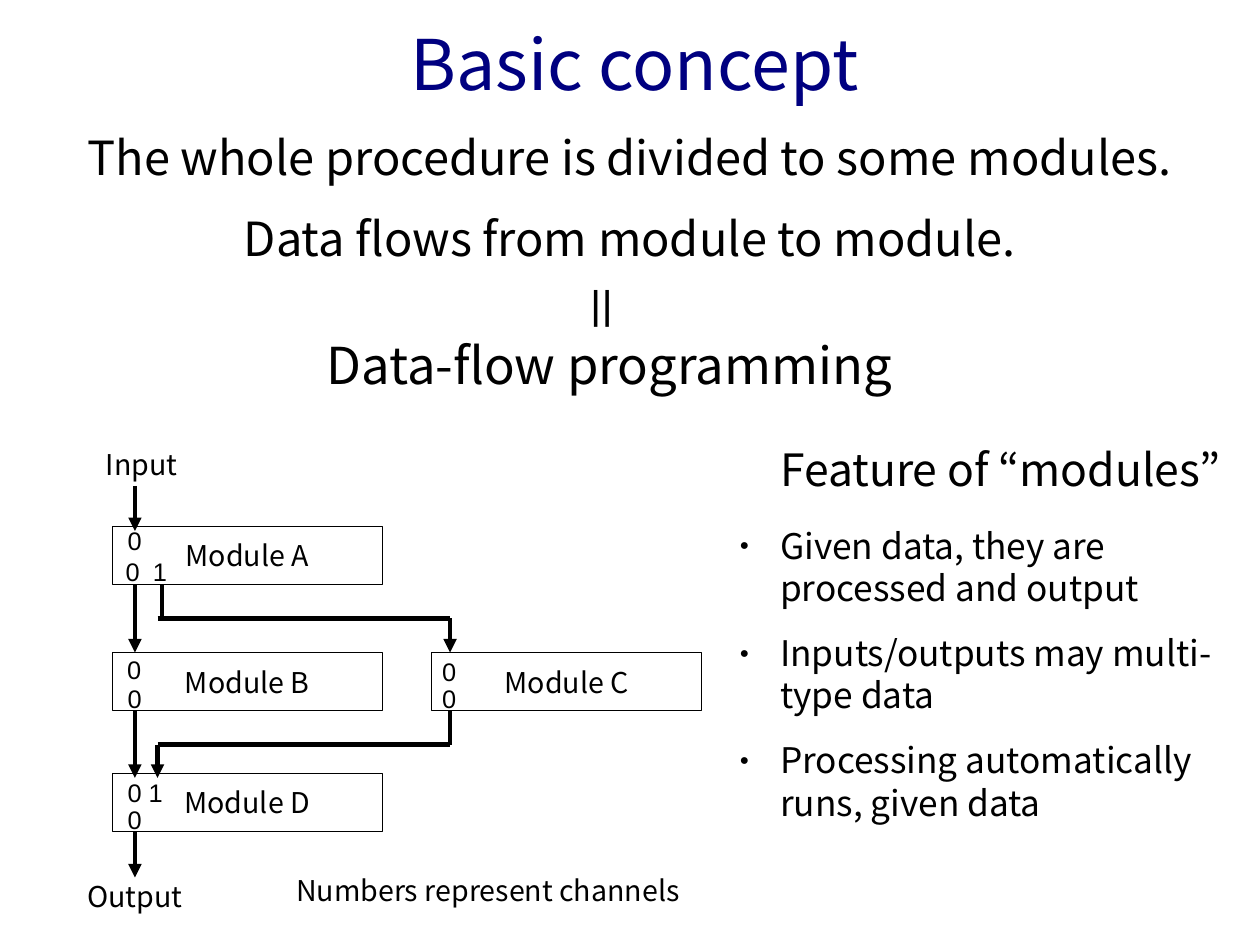
from lxml import etree
from pptx import Presentation, util as u
from pptx.dml.color import RGBColor
from pptx.enum import shapes, text
from pptx.oxml.ns import qn

Pt = u.Pt
COLORS = {"title": "000080", "ink": "000000"}
FONT = "Noto Sans CJK JP"
LEFT, CENTER = text.PP_ALIGN.LEFT, text.PP_ALIGN.CENTER
TOP, MIDDLE = text.MSO_ANCHOR.TOP, text.MSO_ANCHOR.MIDDLE

deck = Presentation()
deck.slide_width, deck.slide_height = Pt(793.75), Pt(595.25)
page = deck.slides.add_slide(deck.slide_layouts[5])


def write(box, lines, size, font=FONT, color="ink", align=LEFT, anchor=TOP,
          wrap=False, inset=(7.2, 3.6), paragraph_format=None):
    frame = box.text_frame
    across, down = Pt(inset[0]), Pt(inset[1])
    frame_format = {"word_wrap": wrap, "vertical_anchor": anchor,
                    "auto_size": text.MSO_AUTO_SIZE.NONE,
                    "margin_left": across, "margin_right": across,
                    "margin_top": down, "margin_bottom": down}
    for name, value in frame_format.items():
        setattr(frame, name, value)
    frame.text = "\n".join(lines)
    for para in frame.paragraphs:
        for name, value in {"alignment": align, **(paragraph_format or {})}.items():
            setattr(para, name, value)
        for span in para.runs:
            for name, value in {"name": font, "size": Pt(size), "bold": False}.items():
                setattr(span.font, name, value)
            span.font.color.rgb = RGBColor.from_string(COLORS[color])
            east_asian = etree.SubElement(span.font._element, qn("a:ea"))
            east_asian.set("typeface", font)
    return frame


def connect(start, end, arrow):
    line = page.shapes.add_connector(shapes.MSO_CONNECTOR.STRAIGHT,
                                     *[Pt(v) for v in start + end])
    line.line.color.rgb = RGBColor.from_string(COLORS["ink"])
    line.line.width = Pt(2.83)
    if arrow:
        etree.SubElement(line.line._get_or_add_ln(), qn("a:tailEnd")).set("type", "triangle")
    etree.SubElement(line._element.spPr, qn("a:effectLst"))


# Title
title = page.shapes.title
for name, value in {"left": 8.5, "top": 9.5, "width": 782.5, "height": 60}.items():
    setattr(title, name, Pt(value))
write(title, ["Basic concept"], 44, color="title", align=CENTER, anchor=MIDDLE,
      wrap=True, inset=(0, 0))

# Introduction
intro = page.shapes.add_textbox(Pt(20), Pt(79), Pt(754), Pt(96.5))
write(intro, ["The whole procedure is divided to some modules.",
              "Data flows from module to module."], 29.6, align=CENTER, wrap=True,
      inset=(0, 0), paragraph_format={"line_spacing": 1.05, "space_after": Pt(14.2)})

# Headings and captions
labels = [
    ("Data-flow programming", 198.5, 206.5, 376.5, 50.5, 32, 0),
    ("＝", 352.5, 168, 46, 53.5, 32, 90),
    ("Input", 59.5, 278, 63.5, 31.5, 18, 0),
    ("Output", 48, 550, 89.5, 31.5, 18, 0),
    ("Numbers represent channels", 179.5, 546.5, 260, 31.5, 18, 0),
    ("Feature of “modules”", 484.5, 275, 298, 45.5, 28, 0),
]
for words, left, top, width, height, size, turn in labels:
    label = page.shapes.add_textbox(Pt(left), Pt(top), Pt(width), Pt(height))
    label.rotation = turn
    write(label, [words], size)

# Modules
for letter, left, top in [("A", 70.75, 331.5), ("B", 70.75, 411),
                          ("C", 272, 411), ("D", 70.75, 487)]:
    module = page.shapes.add_shape(shapes.MSO_SHAPE.RECTANGLE,
                                   Pt(left), Pt(top), Pt(170), Pt(36.75))
    module.shadow.inherit = False
    module.fill.background()
    module.line.color.rgb = RGBColor.from_string(COLORS["ink"])
    module.line.width = Pt(0)
    write(module, ["Module " + letter], 18, align=CENTER, anchor=MIDDLE)

# Data flow: each route ends in an arrow when its flag is set
main_x, branch_x, return_x, far_x = 85, 102, 99.25, 283.5
upper_y, lower_y = 389.5, 469
for top, bottom in [(306, 334.5), (368.5, 411), (448, 490), (524, 552.75)]:
    connect((main_x, top), (main_x, bottom), True)
for start, end, arrow in [
    ((branch_x, 368.5), (branch_x, upper_y), False),
    ((return_x, upper_y), (far_x, upper_y), False),
    ((far_x, upper_y), (far_x, 411), True),
    ((far_x, 448), (far_x, lower_y), False),
    ((return_x, lower_y), (far_x, lower_y), False),
    ((return_x, lower_y), (return_x, 490), True),
]:
    connect(start, end, arrow)

# Channel numbers
for digit, left, top in [
    ("0", 73.25, 327.25), ("0", 72, 347), ("1", 89.25, 347),
    ("0", 73, 408.75), ("0", 73.25, 426.75),
    ("0", 271.5, 409.5), ("0", 271.5, 426.75),
    ("0", 73.25, 485.75), ("1", 86.5, 485.75), ("0", 73.25, 503),
]:
    channel = page.shapes.add_textbox(Pt(left), Pt(top), Pt(23), Pt(25))
    write(channel, [digit], 16, font="Arial")

# Features of modules
features = page.shapes.add_textbox(Pt(457.75), Pt(330.25), Pt(329), Pt(247.5))
frame = write(features, ["Given data, they are processed and output",
                         "Inputs/outputs may multi-\vtype data",
                         "Processing automatically runs, given data"], 22.2,
              wrap=True, inset=(0, 0),
              paragraph_format={"line_spacing": 1.0, "space_after": Pt(14.2)})
for para in frame.paragraphs:
    props = para._p.get_or_add_pPr()
    props.set("marL", str(Pt(33.75)))
    props.set("indent", str(-Pt(25.5)))
    bullet_color = etree.SubElement(props, qn("a:buClr"))
    etree.SubElement(bullet_color, qn("a:srgbClr")).set("val", COLORS["ink"])
    etree.SubElement(props, qn("a:buSzPct")).set("val", "45000")
    etree.SubElement(props, qn("a:buFont")).set("typeface", "Arial")
    etree.SubElement(props, qn("a:buChar")).set("char", "●")

deck.save("out.pptx")
